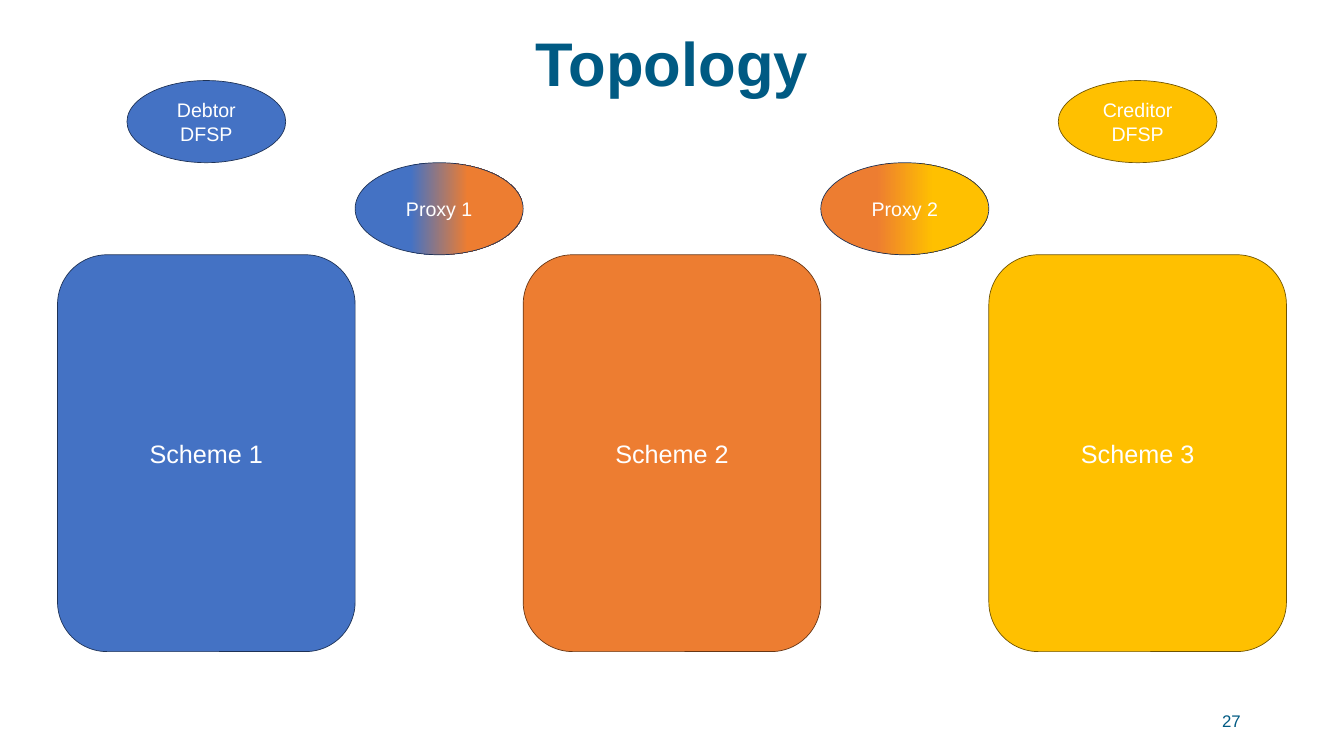
from pptx import Presentation
from pptx.dml.color import RGBColor
from pptx.enum import shapes, text
from pptx.oxml import ns
from pptx.util import Cm, Pt
from lxml import etree

COLORS = {
    "title": "005A83", "white": "FFFFFF",
    "blue": "4472C4", "blue_line": "1E3256",
    "orange": "ED7D31", "orange_line": "683715",
    "yellow": "FFC000", "yellow_line": "705400",
}
SCHEMES = ["blue", "orange", "yellow"]
PARTICIPANTS = {0: "Debtor DFSP", 2: "Creditor DFSP"}

# Grid in cm: three schemes with a proxy bridging each gap
SCHEME_W, SCHEME_H = 15, 20
PITCH = 23.47
PROXY_W, PROXY_H = PITCH - SCHEME_W, 4.64
DFSP_W, DFSP_H = 8, 4.14


def rgb(name):
    return RGBColor.from_string(COLORS[name])


def write(frame, words, size, color, align, bold=False):
    frame.word_wrap = True
    frame.vertical_anchor = text.MSO_ANCHOR.MIDDLE
    paragraph = frame.paragraphs[0]
    paragraph.alignment = align
    run = paragraph.add_run()
    run.text = words
    run.font.name = "Arial"
    run.font.size = Pt(size)
    run.font.bold = bold
    run.font.color.rgb = rgb(color)
    return paragraph


def add_node(slide, kind, box, words, size, color):
    node = slide.shapes.add_shape(kind, *map(Cm, box))
    node.shadow.inherit = False
    node.fill.solid()
    node.fill.fore_color.rgb = rgb(color)
    node.line.color.rgb = rgb(color + "_line")
    node.line.width = Pt(1)
    write(node.text_frame, words, size, "white", text.PP_ALIGN.CENTER)
    return node


def blend(node, left_color, right_color):
    """Fill from one scheme colour to the next, mixing in the middle third."""
    node.fill.gradient()
    node.fill.gradient_angle = 0
    stops = node.element.spPr.find(".//" + ns.qn("a:gsLst"))
    for stop in list(stops):
        stops.remove(stop)
    for percent, color in [(0, left_color), (33, left_color),
                           (67, right_color), (100, right_color)]:
        stop = etree.SubElement(stops, ns.qn("a:gs"), pos=str(percent * 1000))
        etree.SubElement(stop, ns.qn("a:srgbClr"), val=COLORS[color])


def add_title(slide, box):
    title = slide.shapes.title
    title.left, title.top, title.width, title.height = map(Cm, box)
    heading = write(title.text_frame, "Topology", 88, "title",
                    text.PP_ALIGN.CENTER, bold=True)
    heading.line_spacing = 0.9


def add_page_number(slide, box):
    number = slide.shapes.add_textbox(*map(Cm, box))
    write(number.text_frame, "27", 24, "title", text.PP_ALIGN.RIGHT)


def add_topology(slide, left, top):
    oval = shapes.MSO_SHAPE.OVAL
    scheme_top = top + DFSP_H + PROXY_H

    # Schemes
    for i, color in enumerate(SCHEMES):
        add_node(slide, shapes.MSO_SHAPE.ROUNDED_RECTANGLE,
                 (left + i * PITCH, scheme_top, SCHEME_W, SCHEME_H),
                 f"Scheme {i + 1}", 36, color)

    # Participants, centred over their schemes
    for i, words in PARTICIPANTS.items():
        dfsp_left = left + i * PITCH + (SCHEME_W - DFSP_W) / 2
        add_node(slide, oval, (dfsp_left, top, DFSP_W, DFSP_H),
                 words, 28, SCHEMES[i])

    # Proxies between neighbouring schemes
    for i, (before, after) in enumerate(zip(SCHEMES, SCHEMES[1:])):
        proxy_left = left + i * PITCH + SCHEME_W
        proxy = add_node(slide, oval,
                         (proxy_left, top + DFSP_H, PROXY_W, PROXY_H),
                         f"Proxy {i + 1}", 28, before)
        blend(proxy, before, after)
        proxy.line.color.rgb = rgb("blue_line")


def main():
    deck = Presentation()
    deck.slide_width, deck.slide_height = Cm(67.74), Cm(38.1)
    slide = deck.slides.add_slide(deck.slide_layouts[5])
    add_title(slide, (1.57, 1.3, 64.59, 4.14))
    add_page_number(slide, (47.55, 35.3, 15.24, 2.03))
    add_topology(slide, 2.9, 4.06)
    deck.save("out.pptx")


if __name__ == "__main__":
    main()
